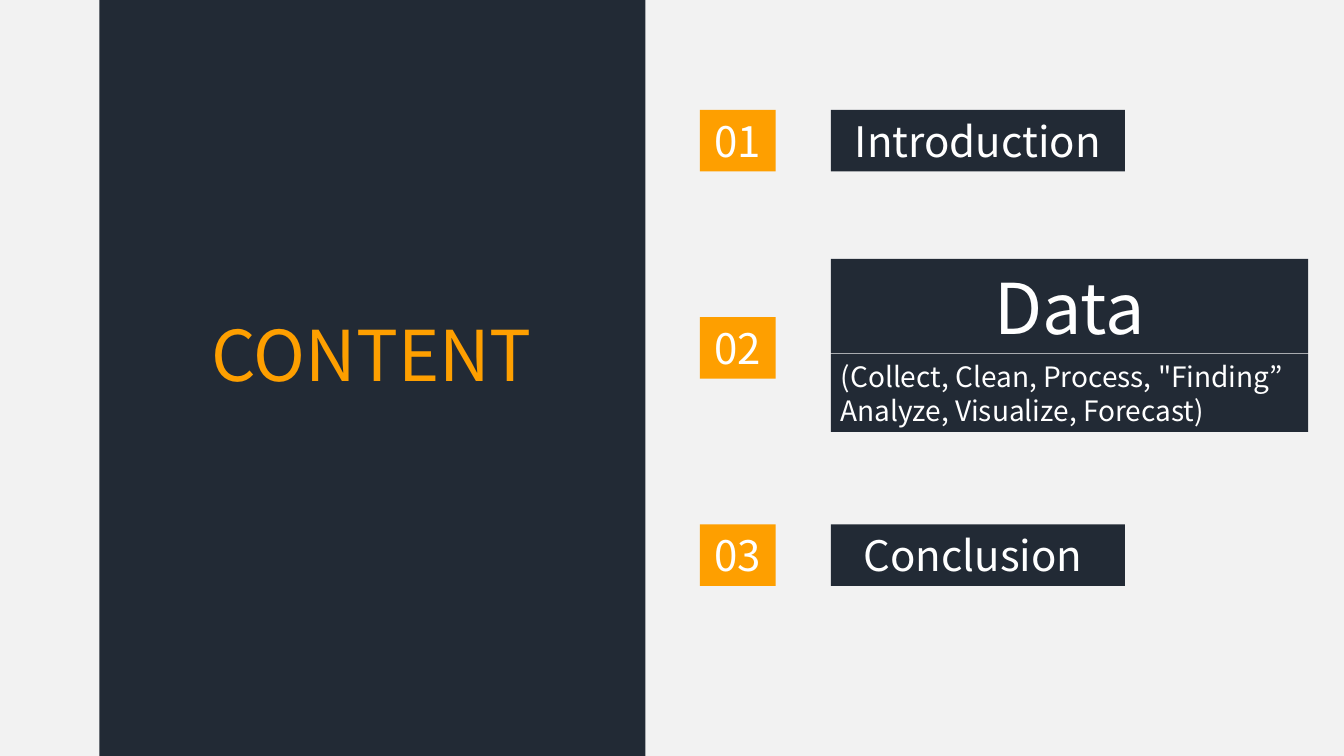
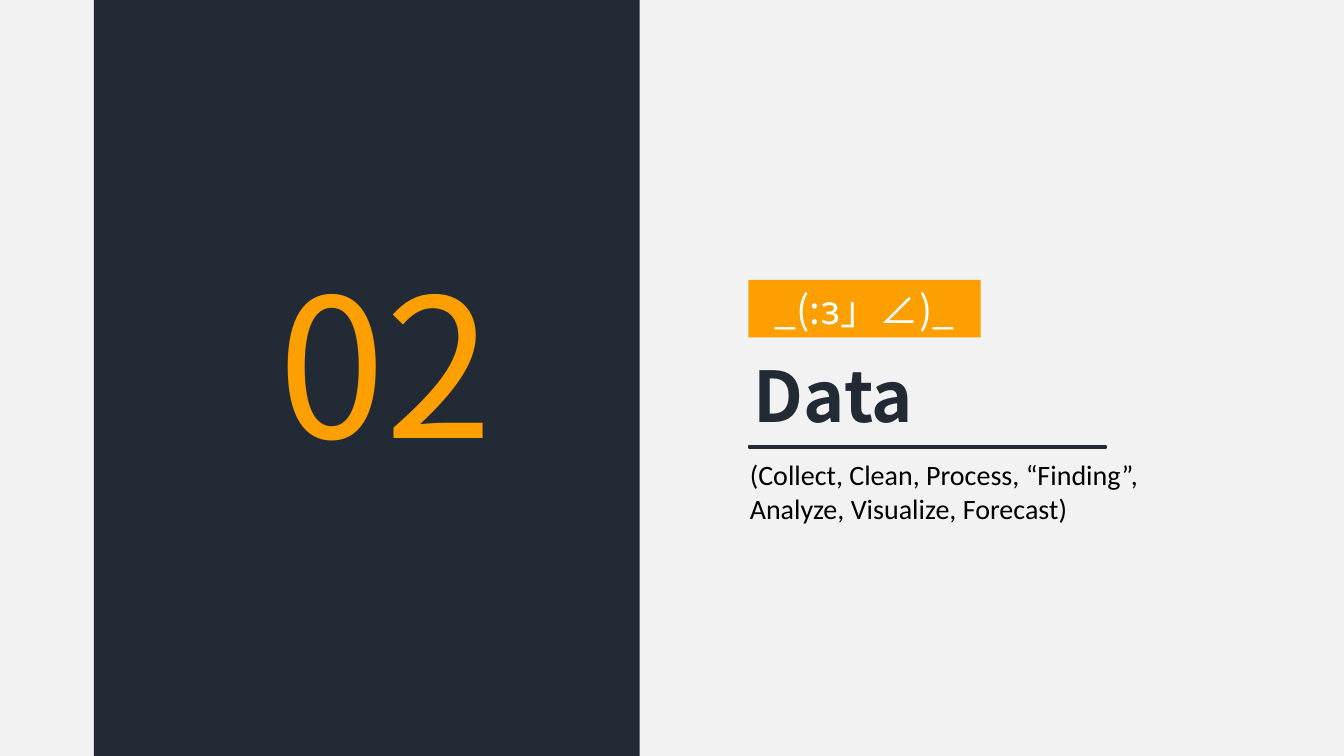
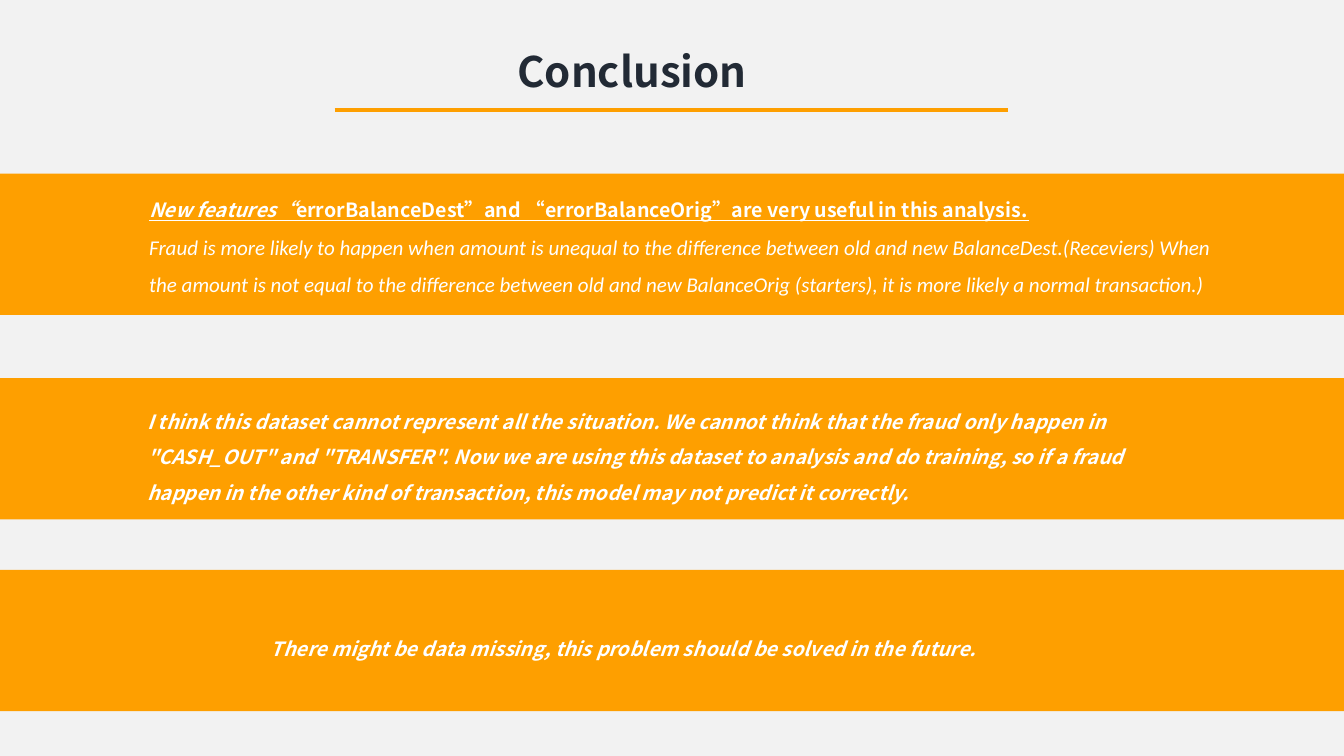
from lxml import etree
from pptx import Presentation
from pptx.dml.color import RGBColor
from pptx.enum.shapes import MSO_CONNECTOR, MSO_SHAPE
from pptx.enum.text import MSO_ANCHOR, MSO_AUTO_SIZE, PP_ALIGN
from pptx.oxml.ns import qn
from pptx.util import Pt

DARK = RGBColor(0x22, 0x2A, 0x35)
ORANGE = RGBColor(0xFE, 0x9F, 0x00)
PALE = RGBColor(0xF2, 0xF2, 0xF2)
WHITE = RGBColor(0xFF, 0xFF, 0xFF)
BLACK = RGBColor(0x00, 0x00, 0x00)

RECTANGLE = MSO_SHAPE.RECTANGLE
STRAIGHT = MSO_CONNECTOR.STRAIGHT
TOP, MIDDLE = MSO_ANCHOR.TOP, MSO_ANCHOR.MIDDLE
GROW = MSO_AUTO_SIZE.SHAPE_TO_FIT_TEXT
LEFT, CENTER = PP_ALIGN.LEFT, PP_ALIGN.CENTER

REGULAR, HEAVY, PLAIN = "Noto Sans CJK JP", "Noto Sans CJK SC", "Calibri"
WIDTH, HEIGHT = 960, 540
TITLE_ONLY = 5

LABEL = {"name": REGULAR, "size": Pt(30), "color": WHITE}
HEADLINE = {**LABEL, "size": Pt(50)}
SMALL = {**LABEL, "size": Pt(20)}
BOLD_TITLE = {"name": HEAVY, "size": Pt(50), "bold": True, "color": DARK}
FINDING = {"name": HEAVY, "size": Pt(14), "bold": True, "italic": True, "color": WHITE}
REMARK = {"name": PLAIN, "size": Pt(15), "bold": False, "italic": True}


class Deck:
    """Holds the shared style and the slide being filled."""

    def __init__(self):
        self.prs = Presentation()
        self.prs.slide_width, self.prs.slide_height = Pt(WIDTH), Pt(HEIGHT)
        backdrop = self.prs.slide_master.background.fill
        backdrop.solid()
        backdrop.fore_color.rgb = PALE
        self.slide = None

    def new_slide(self):
        self.slide = self.prs.slides.add_slide(self.prs.slide_layouts[TITLE_ONLY])

    def set_text(self, shape, paragraphs, style, align=LEFT, wrap=True,
                 anchor=TOP, inset=None, spacing=None):
        """Fill a shape; each paragraph is a list of (text, style changes)."""
        frame = shape.text_frame
        settings = {"word_wrap": wrap, "vertical_anchor": anchor, "auto_size": GROW}
        if inset is not None:
            for side in ("left", "top", "right", "bottom"):
                settings[f"margin_{side}"] = Pt(inset)
        for key, value in settings.items():
            setattr(frame, key, value)
        for index, pieces in enumerate(paragraphs):
            paragraph = frame.add_paragraph() if index else frame.paragraphs[0]
            paragraph.alignment = align
            if spacing:
                paragraph.line_spacing = spacing
            for text, changes in pieces:
                run = paragraph.add_run()
                run.text = text
                self.style_font(run.font, {**style, **changes})

    def style_font(self, font, style):
        for key, value in style.items():
            if key == "color":
                font.color.rgb = value
            else:
                setattr(font, key, value)
        east_asian = etree.SubElement(font._element, qn("a:ea"))
        east_asian.set("typeface", style["name"])

    def title(self, text, box, style, **layout):
        title = self.slide.shapes.title
        title.left, title.top, title.width, title.height = map(Pt, box)
        self.set_text(title, [[(text, {})]], style, CENTER, **layout)
        # Bring the title in front of the panel
        title.element.getparent().append(title.element)

    def text(self, paragraphs, box, style, **layout):
        holder = self.slide.shapes.add_textbox(*map(Pt, box))
        self.set_text(holder, paragraphs, style, **layout)

    def block(self, box, fill, lines=(), style=LABEL, align=CENTER, outline=None):
        block = self.slide.shapes.add_shape(RECTANGLE, *map(Pt, box))
        block.shadow.inherit = False
        block.fill.solid()
        block.fill.fore_color.rgb = fill
        if outline:
            block.line.color.rgb = fill
            block.line.width = Pt(outline)
        else:
            block.line.fill.background()
        if lines:
            self.set_text(block, [[(line, {})] for line in lines], style, align,
                          anchor=MIDDLE)

    def panel(self, left):
        self.block((left, 0, 390, HEIGHT), DARK)

    def rule(self, start, end, y):
        rule = self.slide.shapes.add_connector(
            STRAIGHT, Pt(start), Pt(y), Pt(end), Pt(y))
        rule.line.color.rgb = ORANGE
        rule.line.width = Pt(3)
        etree.SubElement(rule.element.spPr, qn("a:effectLst"))


def content_slide(deck):
    deck.new_slide()
    deck.panel(71)
    deck.title("CONTENT", (137.5, 219, 256, 68), {**HEADLINE, "color": ORANGE},
               wrap=False)
    first, step, bar_left = 78.5, 148, 593.5
    for index, topic in enumerate(("Introduction", None, "Conclusion ")):
        top = first + index * step
        deck.block((500, top, 54, 44), ORANGE, [f"{index + 1:02}"])
        if topic:
            deck.block((bar_left, top, 210, 44), DARK, [topic])
    deck.block((bar_left, 185, 341, 67.5), DARK, ["Data"], HEADLINE)
    deck.block((bar_left, 253, 341, 55.5), DARK,
               ["(Collect, Clean, Process, \"Finding”", "Analyze, Visualize, Forecast)"],
               SMALL, LEFT)


def section_slide(deck):
    deck.new_slide()
    deck.panel(67)
    deck.text([[("02", {})]], (163.5, 171.5, 224, 174),
              {**LABEL, "size": Pt(138), "color": ORANGE}, align=CENTER)
    deck.block((534.5, 200, 166, 41), ORANGE, ["_(:з」∠)_"], {**LABEL, "size": Pt(28)})
    deck.title("Data", (528.5, 248, 134, 68), BOLD_TITLE, wrap=False)
    deck.block((535, 318.5, 255, 1.5), DARK, outline=1)
    deck.text([[("(Collect, Clean, Process, “Finding”,", {})],
               [("Analyze, Visualize, Forecast)", {})]],
              (528.5, 323.5, 430, 55.5),
              {"name": PLAIN, "size": Pt(20), "color": BLACK})


def conclusion_slide(deck):
    deck.new_slide()
    deck.title("Conclusion", (316, 32.5, 271, 36), {**BOLD_TITLE, "size": Pt(30)},
               inset=0)
    deck.rule(239, 720, 78.5)
    features = [
        [("New features“", {"underline": True}),
         ("errorBalanceDest”and “errorBalanceOrig”are very useful in this analysis.",
          {"underline": True, "italic": False})],
        [("Fraud is more likely to happen when amount is unequal to the difference "
          "between old and new BalanceDest.(Receviers) When the amount is not equal "
          "to the difference between old and new BalanceOrig (starters), it is more "
          "likely a normal transaction.)", REMARK)],
    ]
    limits = [[("I think this dataset cannot represent all the situation. We cannot "
                "think that the fraud only happen in \"CASH_OUT\" and \"TRANSFER\". "
                "Now we are using this dataset to analysis and do training, so if a "
                "fraud happen in the other kind of transaction, this model may not "
                "predict it correctly.", {})]]
    outlook = [[("There might be data missing, this problem should be solved in "
                 "the future.", {})]]
    for band_top, box, finding in (
            (124, (99.5, 129.5, 789, 84), features),
            (270, (98, 281, 745, 80.5), limits),
            (407, (186.5, 443, 745, 30), outlook)):
        deck.block((0, band_top, WIDTH, 101), ORANGE)
        deck.text(finding, box, FINDING, spacing=1.5)


def main():
    deck = Deck()
    content_slide(deck)
    section_slide(deck)
    conclusion_slide(deck)
    deck.prs.save("out.pptx")


if __name__ == "__main__":
    main()
